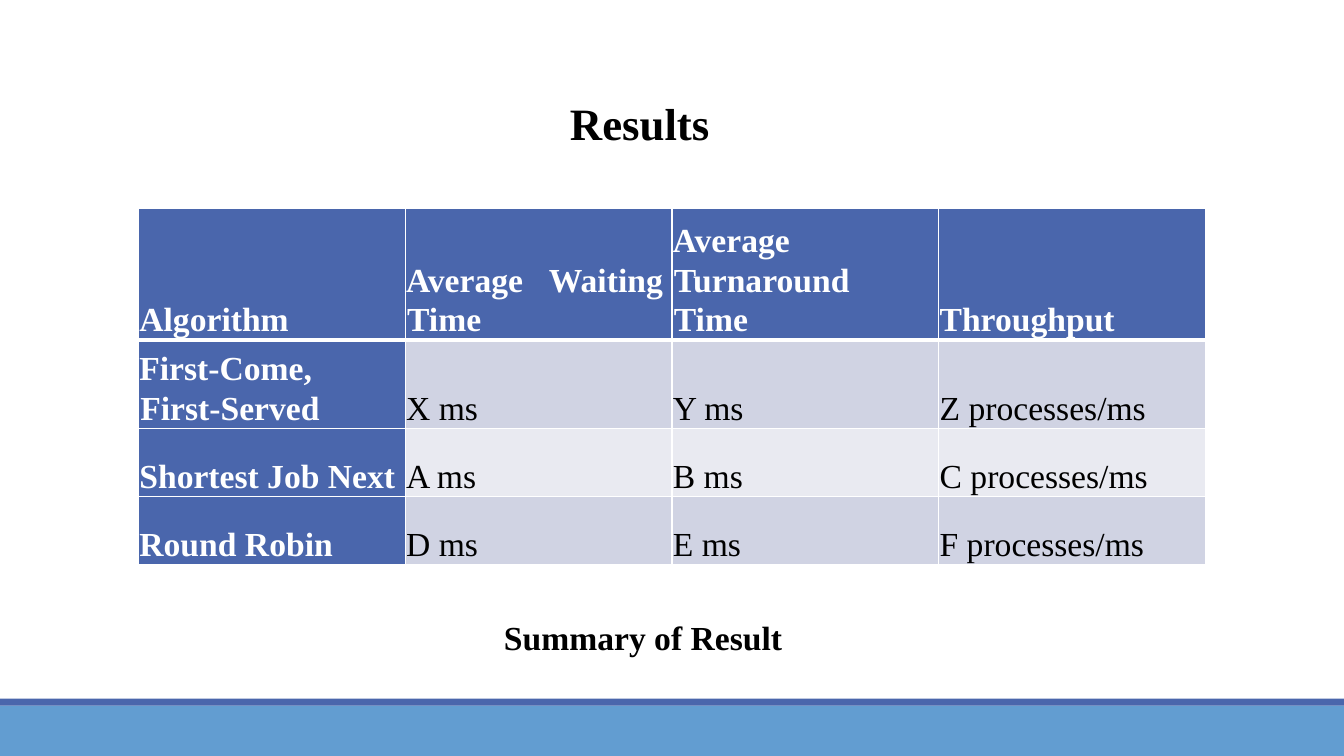
from dataclasses import dataclass

import pptx
import pptx.dml.color
import pptx.enum.shapes
import pptx.enum.text
import pptx.oxml.ns
import pptx.util
from lxml import etree

ALIGN = pptx.enum.text.PP_ALIGN
ANCHOR = pptx.enum.text.MSO_ANCHOR

RESULTS = [
    ["Algorithm", "Average Waiting Time", "Average Turnaround Time", "Throughput"],
    ["First-Come, First-Served", "X ms", "Y ms", "Z processes/ms"],
    ["Shortest Job Next", "A ms", "B ms", "C processes/ms"],
    ["Round Robin", "D ms", "E ms", "F processes/ms"],
]


@dataclass(frozen=True)
class Theme:
    font: str = "Times New Roman"
    ink: str = "000000"
    paper: str = "FFFFFF"
    accent: str = "4A66AC"
    footer: str = "629DD1"
    stripes: tuple = ("D0D3E3", "E9EAF1")
    title_size: int = 32
    body_size: int = 24
    thin_rule: int = 1
    thick_rule: int = 3


def rgb(value):
    return pptx.dml.color.RGBColor.from_string(value)


def write_text(frame, text, *, font, size, color, bold=False, align=ALIGN.LEFT,
               line_spacing=None, space_after=None):
    paragraph = frame.paragraphs[0]
    paragraph.alignment = align
    paragraph.line_spacing = line_spacing
    paragraph.space_after = space_after
    run = paragraph.add_run()
    run.text = text
    run.font.name = font
    run.font.size = pptx.util.Pt(size)
    run.font.bold = bold
    run.font.color.rgb = rgb(color)
    return paragraph


def hang_indent(paragraph, inches):
    properties = paragraph._p.get_or_add_pPr()
    indent = pptx.util.Inches(inches)
    properties.set("marL", str(indent))
    properties.set("indent", str(-indent))


def draw_borders(cell, color, **widths):
    """Give each named side (L, R, T, B) a solid line of that many points."""
    properties = cell._tc.get_or_add_tcPr()
    for position, (side, width) in enumerate(widths.items()):
        line = etree.Element(pptx.oxml.ns.qn(f"a:ln{side}"), w=str(pptx.util.Pt(width)))
        fill = etree.SubElement(line, pptx.oxml.ns.qn("a:solidFill"))
        etree.SubElement(fill, pptx.oxml.ns.qn("a:srgbClr"), val=color)
        properties.insert(position, line)


class SlideBuilder:
    """Places elements by percent of the slide: left, top, width, height."""

    def __init__(self, deck, theme):
        self.deck = deck
        self.theme = theme
        self.slide = deck.slides.add_slide(deck.slide_layouts[5])

    def place(self, left, top, width, height):
        wide, tall = self.deck.slide_width / 100, self.deck.slide_height / 100
        return [round(length) for length in
                (left * wide, top * tall, width * wide, height * tall)]

    def band(self, area, color):
        band = self.slide.shapes.add_shape(
            pptx.enum.shapes.MSO_SHAPE.RECTANGLE, *self.place(*area))
        band.shadow.inherit = False
        band.fill.solid()
        band.fill.fore_color.rgb = rgb(color)
        band.line.fill.background()

    def heading(self, area, text):
        title = self.slide.shapes.title
        title.left, title.top, title.width, title.height = self.place(*area)
        frame = title.text_frame
        frame.word_wrap = True
        frame.auto_size = pptx.enum.text.MSO_AUTO_SIZE.SHAPE_TO_FIT_TEXT
        frame.vertical_anchor = ANCHOR.TOP
        write_text(frame, text, font=self.theme.font, size=self.theme.title_size,
                   color=self.theme.ink, bold=True, align=ALIGN.CENTER,
                   line_spacing=pptx.util.Pt(53))

    def caption(self, area, text):
        frame = self.slide.shapes.add_textbox(*self.place(*area)).text_frame
        frame.word_wrap = True
        frame.auto_size = pptx.enum.text.MSO_AUTO_SIZE.SHAPE_TO_FIT_TEXT
        write_text(frame, text, font=self.theme.font, size=self.theme.body_size,
                   color=self.theme.ink, bold=True)

    def table(self, area, rows, row_height):
        """Rows start at row_height percent and grow with their text."""
        table_frame = self.slide.shapes.add_table(
            len(rows), len(rows[0]), *self.place(*area))
        table = table_frame.table
        for row, entries in enumerate(rows):
            table.rows[row].height = round(self.deck.slide_height * row_height / 100)
            for column, entry in enumerate(entries):
                self.table_cell(table.cell(row, column), entry, row, column)
        table_frame.height = self.place(*area)[3]

    def table_cell(self, cell, entry, row, column):
        theme = self.theme
        is_label = row == 0 or column == 0
        cell.fill.solid()
        cell.fill.fore_color.rgb = rgb(
            theme.accent if is_label else theme.stripes[(row - 1) % 2])
        cell.margin_left = cell.margin_top = cell.margin_bottom = pptx.util.Inches(0.01)
        cell.margin_right = pptx.util.Inches(0.09)
        cell.vertical_anchor = ANCHOR.BOTTOM
        paragraph = write_text(
            cell.text_frame, entry, font=theme.font, size=theme.body_size,
            color=theme.paper if is_label else theme.ink, bold=is_label,
            align=ALIGN.JUSTIFY, line_spacing=1.07, space_after=pptx.util.Pt(17.7))
        hang_indent(paragraph, 0.01)
        draw_borders(cell, theme.paper, L=theme.thin_rule, R=theme.thin_rule,
                     T=theme.thin_rule,
                     B=theme.thick_rule if row == 0 else theme.thin_rule)


def main():
    deck = pptx.Presentation()
    deck.slide_width = pptx.util.Inches(13.33)
    deck.slide_height = pptx.util.Inches(7.5)
    theme = Theme()
    page = SlideBuilder(deck, theme)
    page.band((0, 93.33, 100, 6.67), theme.footer)
    page.band((0, 92.4, 100, 0.93), theme.accent)
    page.table((10.3, 27.6, 79.4, 48.67), RESULTS, row_height=9)
    page.heading((22.6, 9.33, 50, 10.13), "Results")
    page.caption((36.76, 80.93, 24, 6.67), "Summary of Result")
    deck.save("out.pptx")


if __name__ == "__main__":
    main()
